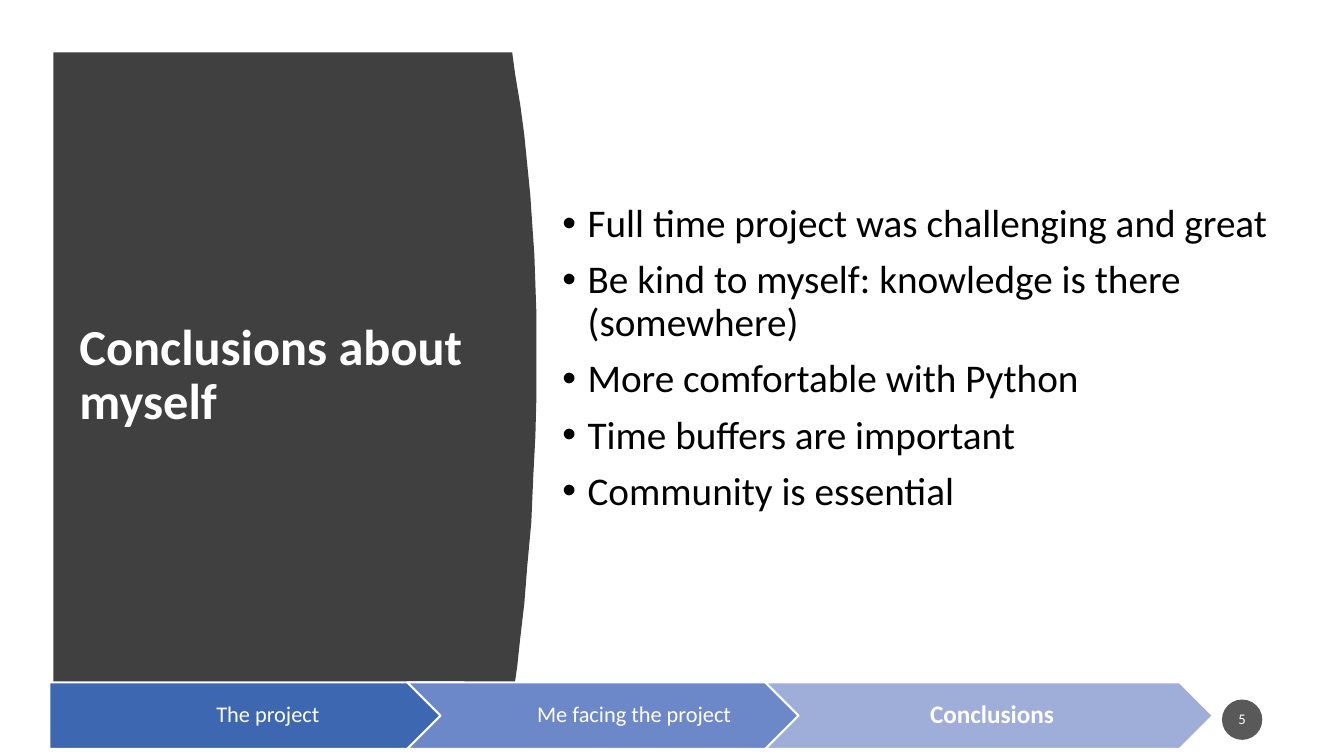
import pptx
import pptx.dml.color
import pptx.enum.shapes
import pptx.enum.text
import pptx.oxml
import pptx.oxml.ns
import pptx.util

PX = 9144  # EMU in one px, 100 px to the inch
FONT = "Calibri"
COLORS = {
    "panel": "404040",
    "badge": "595959",
    "white": "FFFFFF",
    "black": "000000",
    "step_1": "3E67B2",
    "step_2": "6C88C8",
    "step_3": "9FAED8",
}
PANEL_OUTLINE = [
    (53, 52), (508, 52), (511, 74), (516, 104), (520, 134), (523, 164),
    (526, 194), (528, 224), (530, 253), (531, 282), (532, 311), (532, 353),
    (532, 394), (531, 433), (529, 471), (527, 518), (523, 561), (520, 599),
    (516, 633), (513, 661), (510, 682), (508, 696), (53, 696),
]
BULLETS = [
    "Full time project was challenging and great",
    "Be kind to myself: knowledge is there (somewhere)",
    "More comfortable with Python",
    "Time buffers are important",
    "Community is essential",
]
STEPS = [
    ("The project", "step_1", 16, False),
    ("Me facing the project", "step_2", 16, False),
    ("Conclusions", "step_3", 18, True),
]
STEP_LEFT, STEP_TOP, STEP_WIDTH, STEP_HEIGHT, STEP_PITCH = 49, 677, 444, 66, 355


def color(name):
    return pptx.dml.color.RGBColor.from_string(COLORS[name])


def emu(*lengths):
    return [pptx.util.Emu(length * PX) for length in lengths]


def paint(shape, fill, line=None):
    shape.shadow.inherit = False
    shape.fill.solid()
    shape.fill.fore_color.rgb = color(fill)
    if line:
        shape.line.color.rgb = color(line)
        shape.line.width = pptx.util.Pt(1.5)
    else:
        shape.line.fill.background()


def write(shape, text, size, ink="white", bold=False, centered=False, margins=(10, 5, 10, 5)):
    """Fill the shape with text, one paragraph a line; margins are left, top, right, bottom."""
    frame = shape.text_frame
    frame.text = text
    frame.word_wrap = True
    frame.vertical_anchor = pptx.enum.text.MSO_ANCHOR.MIDDLE
    (frame.margin_left, frame.margin_top,
     frame.margin_right, frame.margin_bottom) = emu(*margins)
    alignment = pptx.enum.text.PP_ALIGN
    for paragraph in frame.paragraphs:
        paragraph.alignment = alignment.CENTER if centered else alignment.LEFT
        paragraph.line_spacing = 0.9
        for run in paragraph.runs:
            run.font.name = FONT
            run.font.size = pptx.util.Pt(size)
            run.font.bold = bold
            run.font.color.rgb = color(ink)


def add_bullet(paragraph):
    paragraph.space_before = pptx.util.Pt(10)
    properties = paragraph._p.get_or_add_pPr()
    properties.set("marL", str(25 * PX))
    properties.set("indent", str(-25 * PX))
    namespace = pptx.oxml.ns.nsdecls("a")
    properties.append(pptx.oxml.parse_xml(f'<a:buFont {namespace} typeface="Arial"/>'))
    properties.append(pptx.oxml.parse_xml(f'<a:buChar {namespace} char="•"/>'))


def add_panel(slide):
    builder = slide.shapes.build_freeform(*PANEL_OUTLINE[0], scale=PX)
    builder.add_line_segments(PANEL_OUTLINE[1:], close=True)
    paint(builder.convert_to_shape(), "panel")


def add_title(slide, text):
    write(slide.shapes.add_textbox(*emu(69, 111, 447, 524)), text, 36, bold=True)


def add_bullet_list(slide, items):
    box = slide.shapes.add_textbox(*emu(548, 93, 749, 526))
    write(box, "\n".join(items), 28, ink="black")
    for paragraph in box.text_frame.paragraphs:
        add_bullet(paragraph)


def add_steps(slide):
    kinds = pptx.enum.shapes.MSO_SHAPE
    for index, (label, fill, size, bold) in enumerate(STEPS):
        kind = kinds.CHEVRON if index else kinds.PENTAGON
        left = STEP_LEFT + index * STEP_PITCH
        step = slide.shapes.add_shape(kind, *emu(left, STEP_TOP, STEP_WIDTH, STEP_HEIGHT))
        paint(step, fill, line="white")
        write(step, label, size, bold=bold, centered=True, margins=(8, 5, 2, 5))


def add_page_badge(slide, number):
    badge = slide.shapes.add_shape(pptx.enum.shapes.MSO_SHAPE.OVAL, *emu(1212, 694, 40, 40))
    paint(badge, "badge")
    write(badge, number, 10.5, centered=True, margins=(0, 0, 0, 0))


def main():
    presentation = pptx.Presentation()
    presentation.slide_width, presentation.slide_height = emu(1333, 750)
    slide = presentation.slides.add_slide(presentation.slide_layouts[6])
    add_panel(slide)
    add_title(slide, "Conclusions about myself")
    add_steps(slide)
    add_page_badge(slide, "5")
    add_bullet_list(slide, BULLETS)
    presentation.save("out.pptx")


if __name__ == "__main__":
    main()
